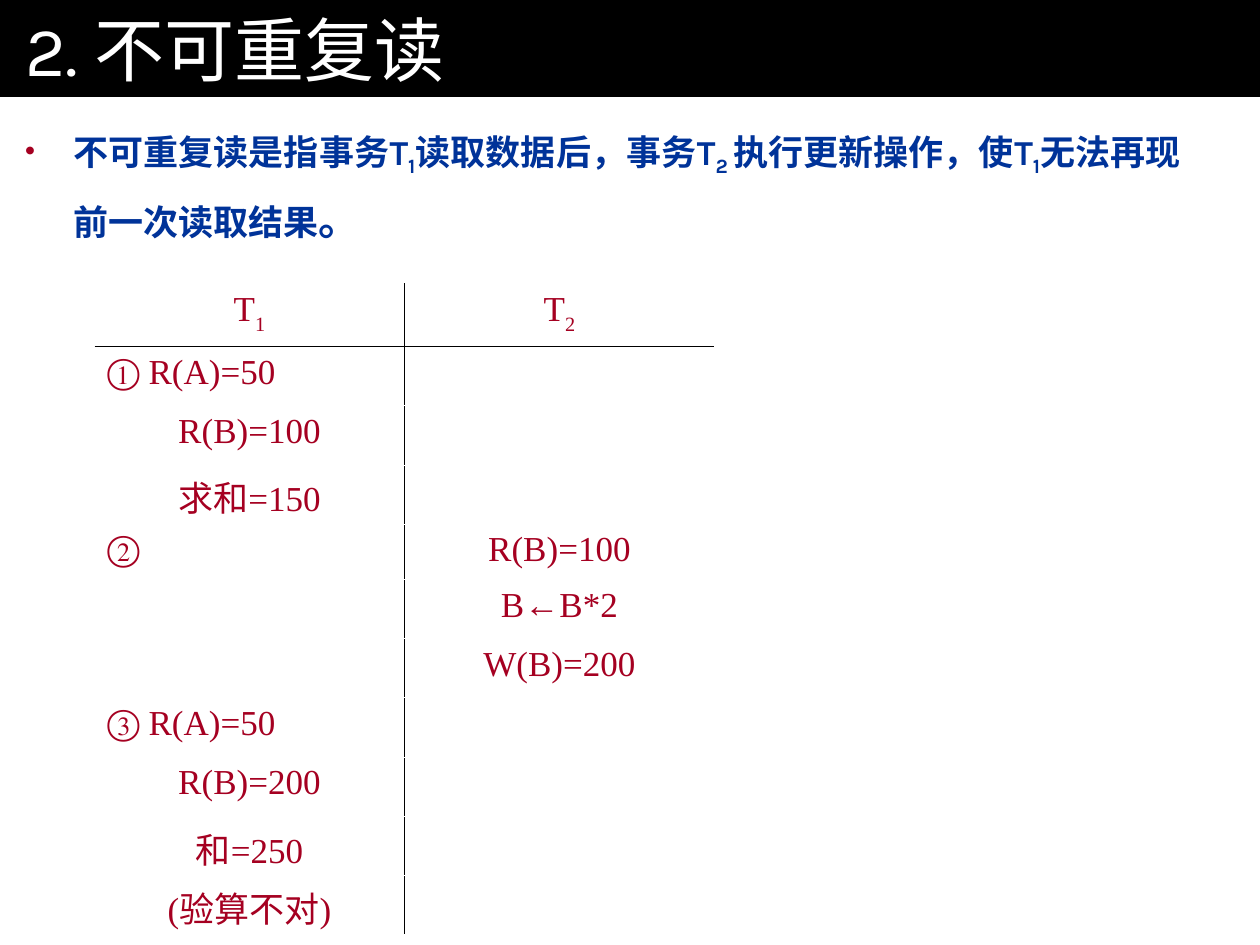
import pptx
import pptx.util
import pptx.dml.color
import pptx.enum.shapes
import pptx.enum.text
import pptx.oxml
import pptx.oxml.ns

Inches = pptx.util.Inches
Pt = pptx.util.Pt
ALIGN = pptx.enum.text.PP_ALIGN
ANCHOR = pptx.enum.text.MSO_ANCHOR

COLORS = {"bar": "000000", "white": "FFFFFF", "blue": "003399", "red": "A50021"}
INDENT = Inches(0.38)
SCHEDULE = [
    ("T_1", "T_2"),
    ("① R(A)=50", ""),
    ("R(B)=100", ""),
    ("求和=150", ""),
    ("②", "R(B)=100"),
    ("", "B←B*2"),
    ("", "W(B)=200"),
    ("③ R(A)=50", ""),
    ("R(B)=200", ""),
    ("和=250", ""),
    ("(验算不对)", ""),
]


def rgb(name):
    return pptx.dml.color.RGBColor.from_string(COLORS[name])


def add_xml(parent, tag, content="", **attrs):
    attributes = "".join(f' {key}="{value}"' for key, value in attrs.items())
    ns = pptx.oxml.ns.nsdecls("a")
    parent.append(pptx.oxml.parse_xml(f"<a:{tag} {ns}{attributes}>{content}</a:{tag}>"))


def add_run(p, text, size, font, color, bold=False, baseline=0):
    r = p.add_run()
    r.text = text
    r.font.size = Pt(size)
    r.font.name = font
    r.font.bold = bold
    r.font.color.rgb = rgb(color)
    if baseline:
        r._r.get_or_add_rPr().set("baseline", str(baseline * 1000))


def hang(p):
    pPr = p._p.get_or_add_pPr()
    pPr.set("marL", str(INDENT))
    pPr.set("indent", str(-INDENT))
    return pPr


def set_margins(tf, side, edge):
    tf.word_wrap = True
    tf.margin_left = tf.margin_right = Inches(side)
    tf.margin_top = tf.margin_bottom = Inches(edge)


def add_title(s, left, top, width, height):
    sp = s.shapes.add_shape(pptx.enum.shapes.MSO_SHAPE.RECTANGLE, left, top, width, height)
    sp.shadow.inherit = False
    sp.fill.solid()
    sp.fill.fore_color.rgb = rgb("bar")
    sp.line.fill.background()
    tf = sp.text_frame
    set_margins(tf, 0.2, 0.05)
    tf.vertical_anchor = ANCHOR.MIDDLE
    p = tf.paragraphs[0]
    p.alignment = ALIGN.LEFT
    add_run(p, "2. 不可重复读", 40, "Karla", "white")


def add_definition(s, left, top, width, height):
    tf = s.shapes.add_textbox(left, top, width, height).text_frame
    set_margins(tf, 0.2, 0.15)
    p = tf.paragraphs[0]
    pPr = hang(p)
    add_xml(pPr, "buClr", f'<a:srgbClr val="{COLORS["red"]}"/>')
    add_xml(pPr, "buSzPct", val=85000)
    add_xml(pPr, "buChar", char="•")
    p.alignment = ALIGN.JUSTIFY
    p.line_spacing = 1.3
    for text, size, baseline in [
        ("不可重复读是指事务T", 20, 0),
        ("1", 20, -25),
        ("读取数据后，事务T", 20, 0),
        ("2 ", 20, -25),
        ("执行更新操作，使T", 20, 0),
        ("1", 20, -25),
        ("无法再现前一次读取结果", 20, 0),
        ("。", 24, 0),
    ]:
        add_run(p, text, size, "Karla", "blue", True, baseline)


def set_borders(cell, row, col):
    borders = {
        "lnL": "bar" if col == 1 else None,
        "lnR": "bar" if col == 0 else None,
        "lnT": "bar" if row == 1 else "white",
        "lnB": "bar" if row == 0 else "white",
    }
    tcPr = cell._tc.get_or_add_tcPr()
    for tag, color in borders.items():
        if color:
            fill = f'<a:solidFill><a:srgbClr val="{COLORS[color]}"/></a:solidFill>'
            add_xml(tcPr, tag, fill, w=Pt(0.45))
        else:
            add_xml(tcPr, tag, "<a:noFill/>", w=0)


def fill_cell(cell, text):
    p = cell.text_frame.paragraphs[0]
    hang(p)
    p.alignment = ALIGN.LEFT if text[:1] in ("①", "②", "③") else ALIGN.CENTER
    p.font.size = Pt(20)
    base, _, sub = text.partition("_")
    for part, baseline in ((base, 0), (sub, -30)):
        if part:
            add_run(p, part, 20, "Times New Roman", "red", baseline=baseline)


def add_schedule(s, left, top, width, height):
    table = s.shapes.add_table(len(SCHEDULE), 2, left, top, width, height).table
    table.first_row = False
    table.horz_banding = False
    for column in table.columns:
        column.width = width // 2
    for i, texts in enumerate(SCHEDULE):
        table.rows[i].height = Inches({0: 0.5, 4: 0.44}.get(i, 0.47))
        for j, text in enumerate(texts):
            cell = table.cell(i, j)
            set_borders(cell, i, j)
            cell.fill.background()
            fill_cell(cell, text)


def main():
    prs = pptx.Presentation()
    prs.slide_width = Inches(10)
    prs.slide_height = Inches(7.5)
    s = prs.slides.add_slide(prs.slide_layouts[6])
    add_title(s, 0, 0, prs.slide_width, Inches(0.77))
    add_definition(s, 0, Inches(0.77), Inches(9.57), Inches(6.73))
    add_schedule(s, Inches(0.75), Inches(2.25), Inches(4.92), Inches(5.17))
    prs.save("out.pptx")


if __name__ == "__main__":
    main()
